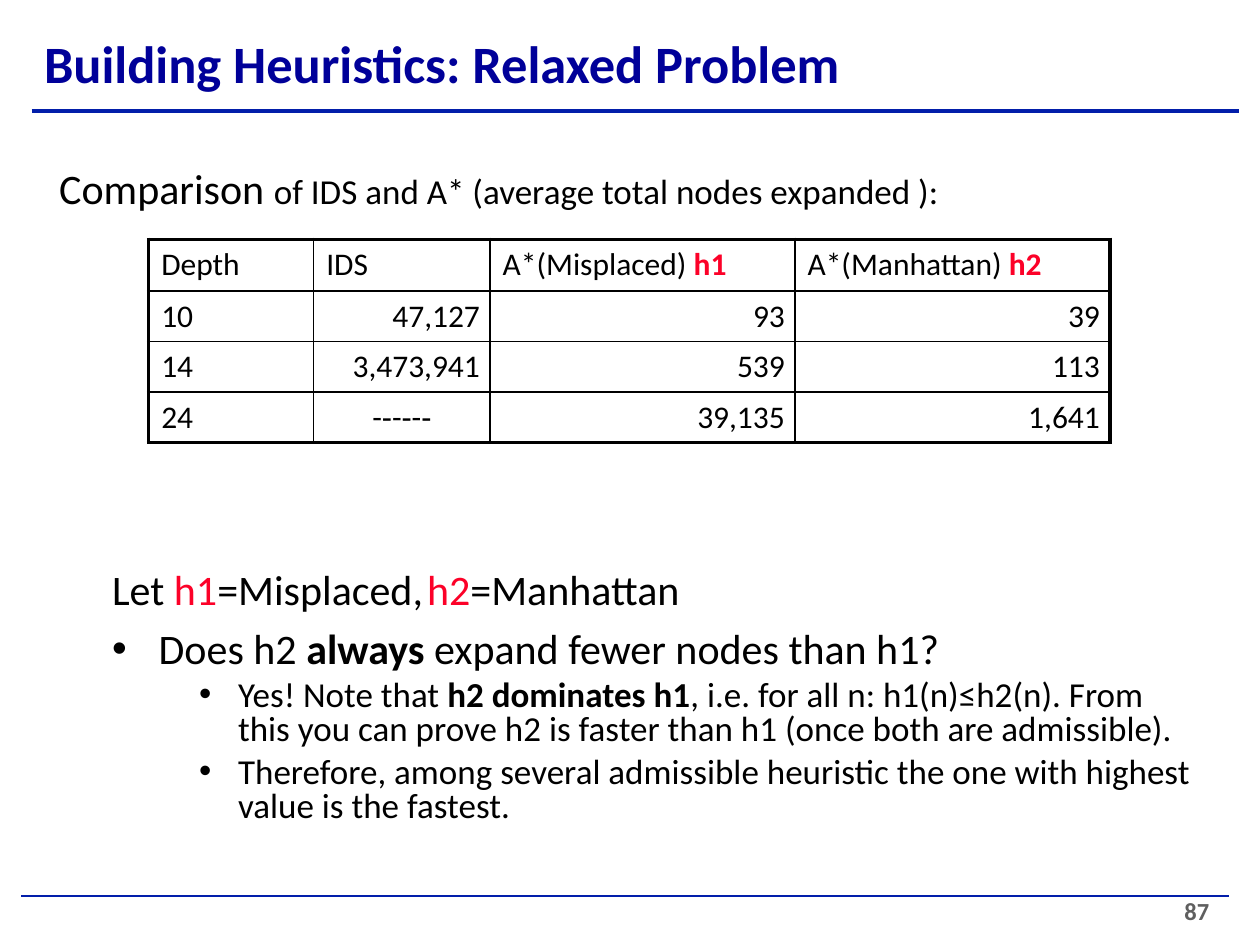
from dataclasses import dataclass
from lxml.etree import SubElement as Sub
from pptx import Presentation
from pptx.dml.color import RGBColor as Rgb
from pptx.enum.shapes import MSO_CONNECTOR as Link
from pptx.enum.text import PP_ALIGN as Align
from pptx.oxml import parse_xml as read
from pptx.oxml.ns import nsdecls, qn
from pptx.util import Inches, Pt

HUES = {"navy": "000099", "rule": "021EAA", "gray": "5F5F5F",
        "ink": "000000", "red": "FC0128"}
FONT = "Calibri"
COLS, ROWS = 100, 75
UNIT = Inches(10) // COLS
THIN, THICK = 1, 2.25


@dataclass
class Run:
    text: str
    size: float = 20
    hue: str = "ink"
    bold: bool = False


@dataclass
class Para:
    runs: list[Run]
    left: float = 0.1
    hang: float = 0
    lead: float = 1
    gap: float = 0
    dot: bool = False
    tab: float = 0
    level: int = 0
    align: Align = Align.LEFT


@dataclass
class Box:
    col: float
    row: float
    wide: float
    tall: float
    top: float
    paras: list[Para]


@dataclass
class Rule:
    col: float
    row: float
    wide: float
    weight: float


def grid(num: float) -> int:
    return round(num * UNIT)


def fill_text(frame, paras: list[Para]) -> None:
    for i, para in enumerate(paras):
        p = frame.paragraphs[0] if i == 0 else frame.add_paragraph()
        p.alignment, p.level = para.align, para.level
        p.line_spacing, p.space_before = para.lead, Pt(para.gap)
        props = p._p.get_or_add_pPr()
        props.set("marL", str(grid(para.left)))
        props.set("indent", str(grid(para.hang)))
        if para.dot:
            tint = Sub(props, qn("a:buClr"))
            Sub(tint, qn("a:srgbClr"), val=HUES["ink"])
            Sub(props, qn("a:buFont"), typeface="Arial")
            Sub(props, qn("a:buChar"), char="•")
        else:
            Sub(props, qn("a:buNone"))
        if para.tab:
            tabs = Sub(props, qn("a:tabLst"))
            Sub(tabs, qn("a:tab"), pos=str(grid(para.tab)), algn="l")
        for run in para.runs:
            r = p.add_run()
            r.text = run.text
            r.font.name, r.font.size, r.font.bold = FONT, Pt(run.size), run.bold
            r.font.color.rgb = Rgb.from_string(HUES[run.hue])


def add_box(slide, box: Box) -> None:
    shape = slide.shapes.add_textbox(*map(grid, (box.col, box.row, box.wide, box.tall)))
    frame = shape.text_frame
    frame.word_wrap = True
    frame.margin_left = frame.margin_right = frame.margin_bottom = 0
    frame.margin_top = grid(box.top)
    fill_text(frame, box.paras)


def add_rule(slide, rule: Rule) -> None:
    y = grid(rule.row)
    line = slide.shapes.add_connector(
        Link.STRAIGHT, grid(rule.col), y, grid(rule.col + rule.wide), y)
    line.line.color.rgb = Rgb.from_string(HUES["rule"])
    line.line.width = Pt(rule.weight)
    Sub(line._element.spPr, qn("a:effectLst"))


def add_edges(cell, edges: dict[str, bool]) -> None:
    props = cell._tc.get_or_add_tcPr()
    for i, (side, outer) in enumerate(edges.items()):
        width = Pt(THICK if outer else THIN)
        props.insert(i, read(
            f'<a:ln{side} {nsdecls("a")} w="{width}"><a:solidFill>'
            f'<a:srgbClr val="{HUES["ink"]}"/></a:solidFill></a:ln{side}>'))


def add_grid(slide, data: list[list[Para]], wides: list[float], talls: list[float]) -> None:
    last, end = len(talls) - 1, len(wides) - 1
    table = slide.shapes.add_table(
        len(talls), len(wides), grid(11.8), grid(19), grid(sum(wides)), grid(sum(talls))).table
    table.first_row = table.horz_banding = False
    for col, wide in zip(table.columns, wides):
        col.width = grid(wide)
    for row, tall in zip(table.rows, talls):
        row.height = grid(tall)
    for y, row in enumerate(data):
        for x, para in enumerate(row):
            cell = table.cell(y, x)
            cell.margin_left = cell.margin_bottom = 0
            cell.margin_right = grid(0.8 if para.align == Align.RIGHT else 0)
            cell.margin_top = grid(0.5)
            cell.fill.background()
            add_edges(cell, {"L": x == 0, "R": x == end, "T": y == 0, "B": y == last})
            fill_text(cell.text_frame, [para])


def label(text: str, mark: str = "") -> Para:
    runs = [Run(text, 18)] + ([Run(mark, 18, "red", True)] if mark else [])
    return Para(runs, left=1)


def value(text: str, align: Align = Align.RIGHT) -> Para:
    return Para([Run(text, 18)], left=0, align=align)


def point(runs: list[Run], gap: float) -> Para:
    return Para(runs, 10.1, -3.1, 0.8, gap, dot=True, level=1)


RULES = [Rule(2.5, 8.8, 95.8, 2.25), Rule(1.7, 71.1, 95.8, 1)]
HEAD = [label("Depth"), label("IDS"),
        label("A*(Misplaced) ", "h1"), label("A*(Manhattan) ", "h2")]
DATA = [
    HEAD,
    [label("10"), value("47,127"), value("93"), value("39")],
    [label("14"), value("3,473,941"), value("539"), value("113")],
    [label("24"), value("-‐-‐-‐", Align.CENTER), value("39,135"), value("1,641")],
]
BOXES = [
    Box(3.1, 1.2, 82.2, 6.8, 1.3, [
        Para([Run("Building Heuristics: Relaxed Problem", 30, "navy", True)], 0.4)]),
    Box(93.9, 71.1, 3.7, 2.7, 0, [Para([Run("87", 14, "gray", True)])]),
    Box(8.8, 43.8, 86, 20.2, 0.1, [
        Para([Run("Let ", 24), Run("h1", 24, "red"), Run("=Misplaced,\t", 24),
              Run("h2", 24, "red"), Run("=Manhattan", 24)], lead=1.2, tab=30),
        Para([Run("Does h2 ", 24), Run("always ", 24, bold=True),
              Run("expand fewer nodes than h1?", 24)], 3.8, -3.7, 1.18, dot=True),
        point([Run("Yes! Note that "), Run("h2 dominates h1", bold=True),
               Run(", i.e. for all n: h1(n)≤h2(n). From this you can prove "
                   "h2 is faster than h1 (once both are admissible).")], 4.3),
        point([Run("Therefore, among several admissible heuristic the one "
                   "with highest value is the fastest.")], 5.6)]),
    Box(4.6, 12.8, 70.1, 4.3, 0.1, [
        Para([Run("Comparison ", 24),
              Run("of IDS and A* (average total nodes expanded ):")])]),
]


def main() -> None:
    deck = Presentation()
    deck.slide_width, deck.slide_height = grid(COLS), grid(ROWS)
    slide = deck.slides.add_slide(deck.slide_layouts[6])
    for rule in RULES:
        add_rule(slide, rule)
    add_grid(slide, DATA, [13.1, 14, 24.2, 25], [4.1, 4, 4, 4])
    for box in BOXES:
        add_box(slide, box)
    deck.save("out.pptx")


if __name__ == "__main__":
    main()
